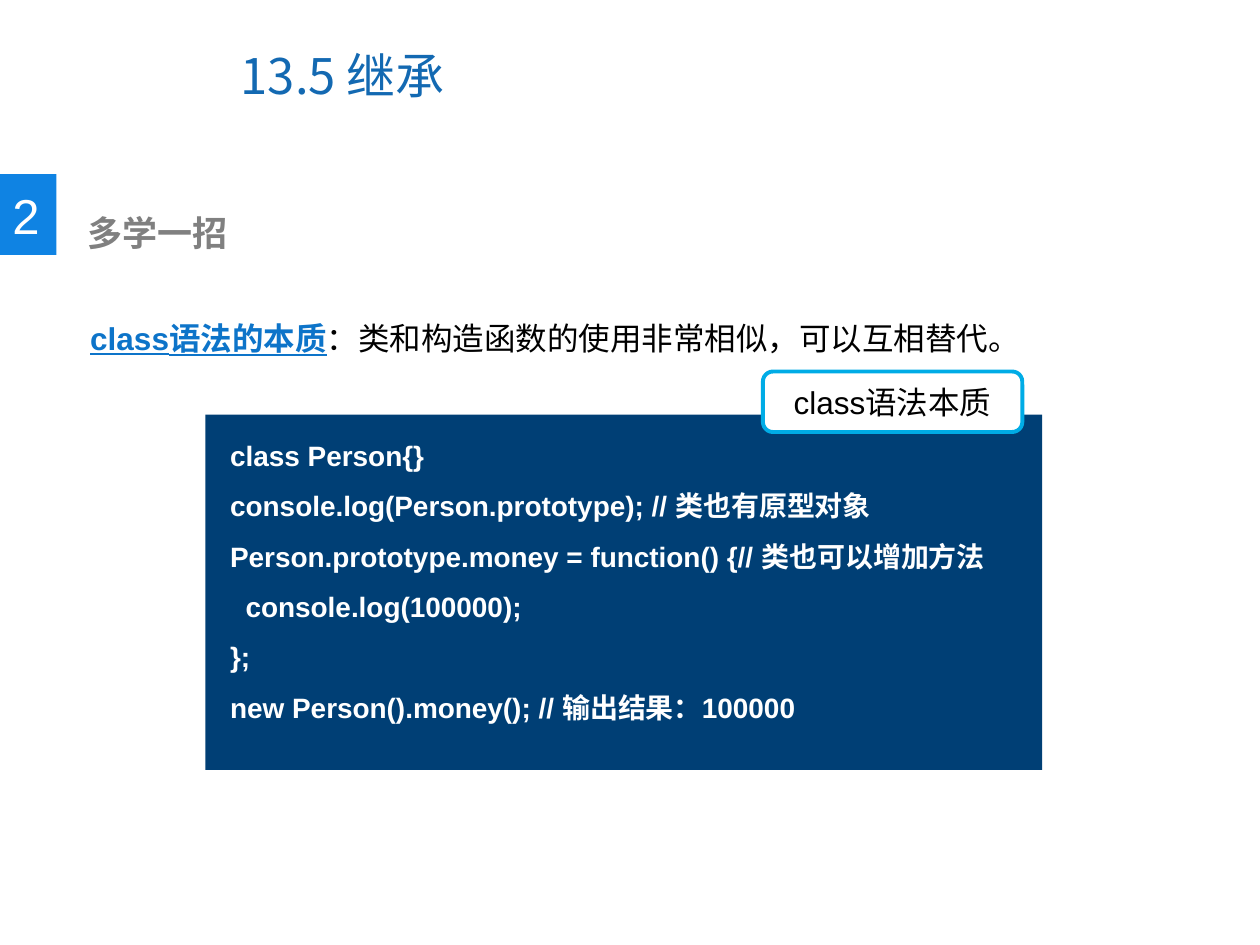
from lxml import etree
from pptx import Presentation
from pptx.dml.color import RGBColor
from pptx.enum import shapes, text
from pptx.oxml.ns import qn
from pptx.util import Cm, Pt

LATIN, CJK = "Arial", "Noto Sans CJK SC"
WHITE, BLACK = "FFFFFF", "000000"
CODE = [
    "class Person{}",
    "console.log(Person.prototype); // 类也有原型对象",
    "Person.prototype.money = function() {// 类也可以增加方法",
    "  console.log(100000);",
    "};",
    "new Person().money(); // 输出结果：100000",
]


def color(value):
    return RGBColor.from_string(value)


def add_run(p, words, size, fill, bold=False, underline=False, font=LATIN):
    r = p.add_run()
    r.text = words
    f = r.font
    f.size, f.bold, f.underline, f.name = Pt(size), bold, underline, font
    f.color.rgb = color(fill)
    ea = etree.SubElement(r._r.get_or_add_rPr(), qn("a:ea"))
    ea.set("typeface", CJK)


def add_box(parent, kind, x, y, w, h, fill):
    """Add a filled preset shape without outline; lengths in cm."""
    sp = parent.add_shape(kind, Cm(x), Cm(y), Cm(w), Cm(h))
    sp.shadow.inherit = False
    sp.fill.solid()
    sp.fill.fore_color.rgb = color(fill)
    sp.line.fill.background()
    return sp


def add_text(parent, x, y, w, h, wrap=True):
    """Add an empty text box and return its text frame; lengths in cm."""
    tf = parent.add_textbox(Cm(x), Cm(y), Cm(w), Cm(h)).text_frame
    tf.word_wrap = wrap
    return tf


def place_title(s, x, y, w, h):
    sp = s.shapes.title
    sp.left, sp.top, sp.width, sp.height = Cm(x), Cm(y), Cm(w), Cm(h)
    tf = sp.text_frame
    tf.auto_size = text.MSO_AUTO_SIZE.NONE
    tf.vertical_anchor = text.MSO_ANCHOR.MIDDLE
    p = tf.paragraphs[0]
    p.alignment = text.PP_ALIGN.LEFT
    add_run(p, "13.5 ", 28, "1369B2", font=CJK)
    add_run(p, "继承", 28, "1369B2")


def section_heading(s, x, y, w, h):
    """Place the numbered tab and the heading to its right."""
    tab = s.shapes.add_group_shape().shapes
    add_box(tab, shapes.MSO_SHAPE.RECTANGLE, x, y, 1.14, h, "0F83E3")
    tf = add_text(tab, x, y + 0.1, 1.07, 1.45, wrap=False)
    add_run(tf.paragraphs[0], "2", 28, WHITE)
    tf = add_text(s.shapes, x + 1.52, y + 0.63, w - 1.52, 1.11)
    add_run(tf.paragraphs[0], "多学一招", 20, "808080", bold=True)


def key_point(s, x, y, w, h):
    p = add_text(s.shapes, x, y, w, h).paragraphs[0]
    p.line_spacing = 2.0
    add_run(p, "class语法的本质", 18, "0D74C9", bold=True, underline=True)
    add_run(p, "：类和构造函数的使用非常相似，可以互相替代。", 18, BLACK)


def code_panel(s, x, y, w, h):
    """Place the code on its panel and the label over the top right edge."""
    panel = s.shapes.add_group_shape().shapes
    add_box(panel, shapes.MSO_SHAPE.RECTANGLE, x, y, w, h, "003F75")
    tf = add_text(panel, x + 0.25, y + 0.02, w - 0.25, h - 0.8)
    for i, line in enumerate(CODE):
        p = tf.add_paragraph() if i else tf.paragraphs[0]
        p.line_spacing = 1.5
        add_run(p, line, 16, WHITE, bold=True)

    label = add_box(s.shapes, shapes.MSO_SHAPE.ROUNDED_RECTANGLE,
                    x + w - 5.63, y - 0.87, 5.23, 1.22, WHITE)
    label.line.color.rgb = color("00ACE6")
    label.line.width = Pt(2.25)
    tf = label.text_frame
    tf.vertical_anchor = text.MSO_ANCHOR.MIDDLE
    p = tf.paragraphs[0]
    p.alignment = text.PP_ALIGN.CENTER
    add_run(p, "class语法本质", 18, BLACK)


def main():
    prs = Presentation()
    prs.slide_width, prs.slide_height = Cm(25.4), Cm(19.05)
    s = prs.slides.add_slide(prs.slide_layouts[5])
    key_point(s, 1.57, 5.54, 21.97, 1.8)
    place_title(s, 4.6, 0.43, 13.1, 2.16)
    section_heading(s, 0, 3.51, 14.25, 1.63)
    code_panel(s, 4.14, 8.36, 16.87, 7.16)
    prs.save("out.pptx")


if __name__ == "__main__":
    main()
